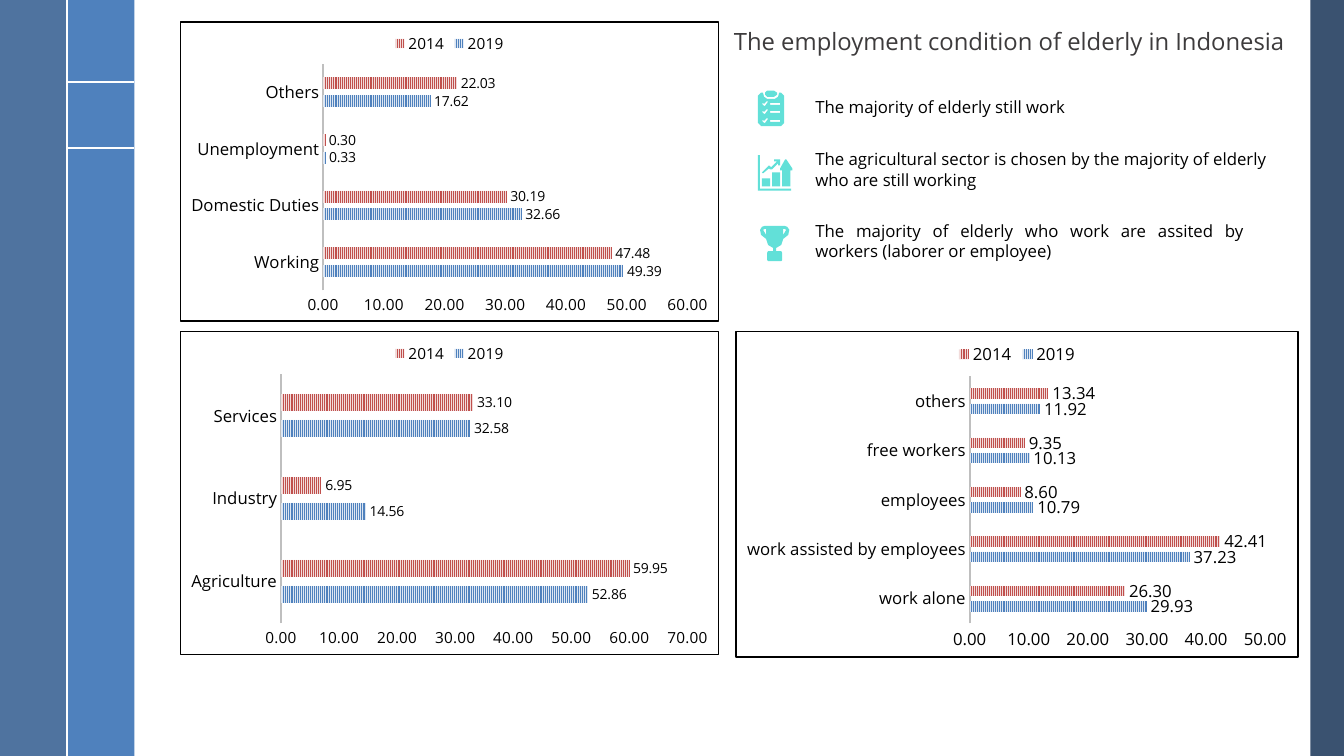
from lxml import etree
from pptx import Presentation
from pptx.chart.data import CategoryChartData
from pptx.dml.color import RGBColor
from pptx.enum.chart import (XL_CHART_TYPE, XL_LABEL_POSITION,
                             XL_LEGEND_POSITION, XL_TICK_MARK)
from pptx.enum.dml import MSO_PATTERN
from pptx.enum.shapes import MSO_CONNECTOR, MSO_SHAPE
from pptx.enum.text import MSO_ANCHOR, PP_ALIGN
from pptx.oxml import parse_xml
from pptx.oxml.ns import qn
from pptx.util import Inches, Pt

RECT, LINE, BARS = MSO_SHAPE.RECTANGLE, MSO_CONNECTOR.STRAIGHT, XL_CHART_TYPE.BAR_CLUSTERED
TOP, OUT, NONE = XL_LEGEND_POSITION.TOP, XL_LABEL_POSITION.OUTSIDE_END, XL_TICK_MARK.NONE
STRIPE = MSO_PATTERN.NARROW_VERTICAL
LEFT, MID, FULL = PP_ALIGN.LEFT, PP_ALIGN.CENTER, PP_ALIGN.JUSTIFY
HIGH, LOW = MSO_ANCHOR.TOP, MSO_ANCHOR.BOTTOM

WHITE = RGBColor(0xFF, 0xFF, 0xFF)
BLACK = RGBColor(0x00, 0x00, 0x00)
NAVY = RGBColor(0x25, 0x40, 0x61)
STEEL = RGBColor(0x37, 0x60, 0x92)
BLUE = RGBColor(0x4F, 0x81, 0xBD)
PALE = RGBColor(0xDC, 0xE6, 0xF2)
RED = RGBColor(0xC0, 0x50, 0x4D)
PINK = RGBColor(0xF2, 0xDC, 0xDB)
GREY = RGBColor(0xBF, 0xBF, 0xBF)
INK = RGBColor(0x3D, 0x3B, 0x3C)
MINT = RGBColor(0x62, 0xE0, 0xD8)

FACE = "Open Sans"
COLS, ROWS = 40, 22.5
WIDE, HIGHT = Inches(13.33), Inches(7.5)
DOT = Inches(0.01)
FRAME = ('<c:spPr xmlns:c="http://schemas.openxmlformats.org/drawingml/2006/chart" '
         'xmlns:a="http://schemas.openxmlformats.org/drawingml/2006/main">'
         f'<a:solidFill><a:srgbClr val="{WHITE}"/></a:solidFill><a:ln w="12700">'
         f'<a:solidFill><a:srgbClr val="{BLACK}"/></a:solidFill></a:ln></c:spPr>')


class Deck:
    """Holds the style and the current slide; lengths are grid columns and rows."""

    def __init__(self):
        """Open a deck with one blank slide."""
        self.prs = Presentation()
        self.prs.slide_width, self.prs.slide_height = WIDE, HIGHT
        self.shapes = self.prs.slides.add_slide(self.prs.slide_layouts[6]).shapes

    def grid(self, *spots):
        """Turn alternating columns and rows into lengths."""
        return [round(n * (HIGHT / ROWS if i % 2 else WIDE / COLS))
                for i, n in enumerate(spots)]

    def font(self, font, size, color=BLACK):
        """Set face, size and colour of a font."""
        font.name, font.size, font.color.rgb = FACE, Pt(size), color

    def paint(self, shape, color):
        """Give a shape a plain fill without line or shadow."""
        shape.shadow.inherit = False
        shape.fill.solid()
        shape.fill.fore_color.rgb = color
        shape.line.fill.background()

    def band(self, col, wide, color, alpha=100):
        """Draw a band over the full height."""
        shape = self.shapes.add_shape(RECT, *self.grid(col, 0, wide, ROWS))
        self.paint(shape, color)
        tint = next(shape._element.spPr.iter(qn("a:srgbClr")))
        etree.SubElement(tint, qn("a:alpha")).set("val", str(alpha * 1000))

    def rule(self, *ends):
        """Draw a white line between two points."""
        line = self.shapes.add_connector(LINE, *self.grid(*ends))
        line.line.color.rgb, line.line.width = WHITE, Pt(1.5)
        etree.SubElement(line._element.spPr, qn("a:effectLst"))

    def text(self, box, words, size=12, color=BLACK, align=LEFT, anchor=HIGH, lead=1.0):
        """Place one paragraph of text."""
        frame = self.shapes.add_textbox(*self.grid(*box)).text_frame
        frame.word_wrap, frame.vertical_anchor = True, anchor
        frame.text = words
        para = frame.paragraphs[0]
        para.alignment, para.line_spacing = align, lead
        self.font(para.runs[0].font, size, color)

    def icon(self, col, row, rings):
        """Draw closed outlines, given in dots, as one shape; inner rings are holes."""
        pen = self.shapes.build_freeform(*rings[0][0], scale=DOT)
        for i, ring in enumerate(rings):
            if i:
                pen.move_to(*ring[0])
            pen.add_line_segments(ring[1:], close=True)
        self.paint(pen.convert_to_shape(*self.grid(col, row)), MINT)

    def chart(self, box, cats, new, old, top, size=11, tag=10):
        """Place a framed bar chart that compares 2019 with 2014."""
        data = CategoryChartData(number_format="0.00")
        data.categories = cats
        data.add_series("2019", new)
        data.add_series("2014", old)
        chart = self.shapes.add_chart(BARS, *self.grid(*box), data).chart
        self.font(chart.font, 10)
        chart._chartSpace.find(qn("c:chart")).addnext(parse_xml(FRAME))
        chart.has_title = False
        chart.has_legend = True
        chart.legend.position, chart.legend.include_in_layout = TOP, False
        self.font(chart.legend.font, size)
        self.axes(chart, top, size)
        plot = chart.plots[0]
        plot.gap_width, plot.overlap, plot.vary_by_categories = 227, -48, False
        for bars, (fore, back) in zip(plot.series, ((BLUE, PALE), (RED, PINK))):
            fill = bars.format.fill
            fill.patterned()
            fill.pattern = STRIPE
            fill.fore_color.rgb, fill.back_color.rgb = fore, back
            bars.invert_if_negative = False
            tags = bars.data_labels
            tags.show_value, tags.position = True, OUT
            tags.number_format, tags.number_format_is_linked = "0.00", False
            self.font(tags.font, tag)

    def axes(self, chart, top, size):
        """Style both axes of a chart."""
        cat, val = chart.category_axis, chart.value_axis
        for axis, points in ((cat, 12), (val, size)):
            axis.major_tick_mark = axis.minor_tick_mark = NONE
            axis.has_major_gridlines = False
            self.font(axis.tick_labels.font, points)
        cat.format.line.color.rgb, cat.format.line.width = GREY, Pt(1.5)
        val.format.line.fill.background()
        val.minimum_scale, val.maximum_scale, val.major_unit = 0, top, 10
        val.tick_labels.number_format = "0.00"
        val.tick_labels.number_format_is_linked = False


def block(left, top, right, low):
    """Return the corners of a box."""
    return [(left, top), (right, top), (right, low), (left, low)]


def tick(drop):
    """Return a check mark moved down by some dots."""
    mark = [(4, 14), (5, 13), (6, 14), (9, 11), (10, 12), (7, 16), (6, 16)]
    return [(x, y + drop) for x, y in mark]


STEPS = (0, 8, 17)
LIST = [[(9, 1), (16, 1), (19, 3), (19, 5), (16, 7), (9, 7), (7, 5), (7, 3)],
        [(3, 3), (5, 3), (6, 7), (9, 9), (17, 9), (20, 7), (21, 3), (23, 3), (26, 6),
         (26, 33), (23, 36), (3, 36), (0, 33), (0, 6)],
        *[tick(n) for n in STEPS], *[block(12, 13 + n, 22, 15 + n) for n in STEPS]]
GROWTH = [[(0, 1), (2, 1), (2, 34), (33, 34), (33, 36), (0, 36)],
          [(4, 18), (11, 11), (13, 13), (19, 7), (16, 7), (16, 5), (22, 5), (22, 11),
           (20, 11), (20, 9), (14, 15), (12, 15), (11, 14), (5, 19)],
          block(4, 24, 12, 32), block(14, 18, 22, 32),
          [(22, 16), (22, 14), (27, 5), (28, 5), (34, 14), (34, 16), (32, 16),
           (32, 32), (24, 32), (24, 16)]]
CUP = [[(29, 5), (27, 2), (24, 1), (5, 1), (2, 2), (0, 5), (1, 10), (6, 14), (8, 20),
        (13, 23), (13, 26), (8, 26), (7, 28), (7, 35), (8, 36), (21, 36), (22, 35),
        (22, 28), (21, 26), (16, 26), (16, 23), (21, 20), (23, 14), (28, 10)],
       [(3, 5), (5, 4), (6, 4), (6, 10)], [(23, 4), (24, 4), (26, 5), (23, 10)]]

deck = Deck()
deck.band(39, 1, NAVY, 90)
deck.band(2, 2, BLUE)
deck.band(0, 2, STEEL, 88)
for row in (2.43, 4.41):
    deck.rule(2, row, 4, row)
deck.rule(2, 0, 2, ROWS)
deck.text((21.42, 0.63, 17.25, 1.17), "The employment condition of elderly in Indonesia",
          17, INK, MID, LOW, 0.9)

deck.chart((5.35, 0.63, 16.05, 8.95), ("Working", "Domestic Duties", "Unemployment", "Others"),
           (49.39, 32.66, 0.33, 17.62), (47.48, 30.19, 0.30, 22.03), 60)
deck.chart((5.35, 9.85, 16.05, 9.65), ("Agriculture", "Industry", "Services"),
           (52.86, 14.56, 32.58), (59.95, 6.95, 33.10), 70)
deck.chart((21.88, 9.85, 16.77, 9.72),
           ("work alone", "work assisted by employees", "employees", "free workers", "others"),
           (29.93, 37.23, 10.79, 10.13, 11.92), (26.30, 42.41, 8.60, 9.35, 13.34),
           50, size=12, tag=12)

POINTS = (
    (2.73, 14.67, 0.9, LEFT, "The majority of elderly still work", 22.56, 2.67, LIST),
    (4.29, 14.67, 1.5, LEFT, "The agricultural sector is chosen by the majority of elderly "
     "who are still working", 22.56, 4.59, GROWTH),
    (6.42, 13.35, 1.5, FULL, "The majority of elderly who work are assited by workers "
     "(laborer or employee)", 22.62, 6.69, CUP))
for row, wide, tall, align, words, col, top, rings in POINTS:
    deck.text((23.97, row, wide, tall), words, align=align)
    deck.icon(col, top, rings)

deck.prs.save("out.pptx")
